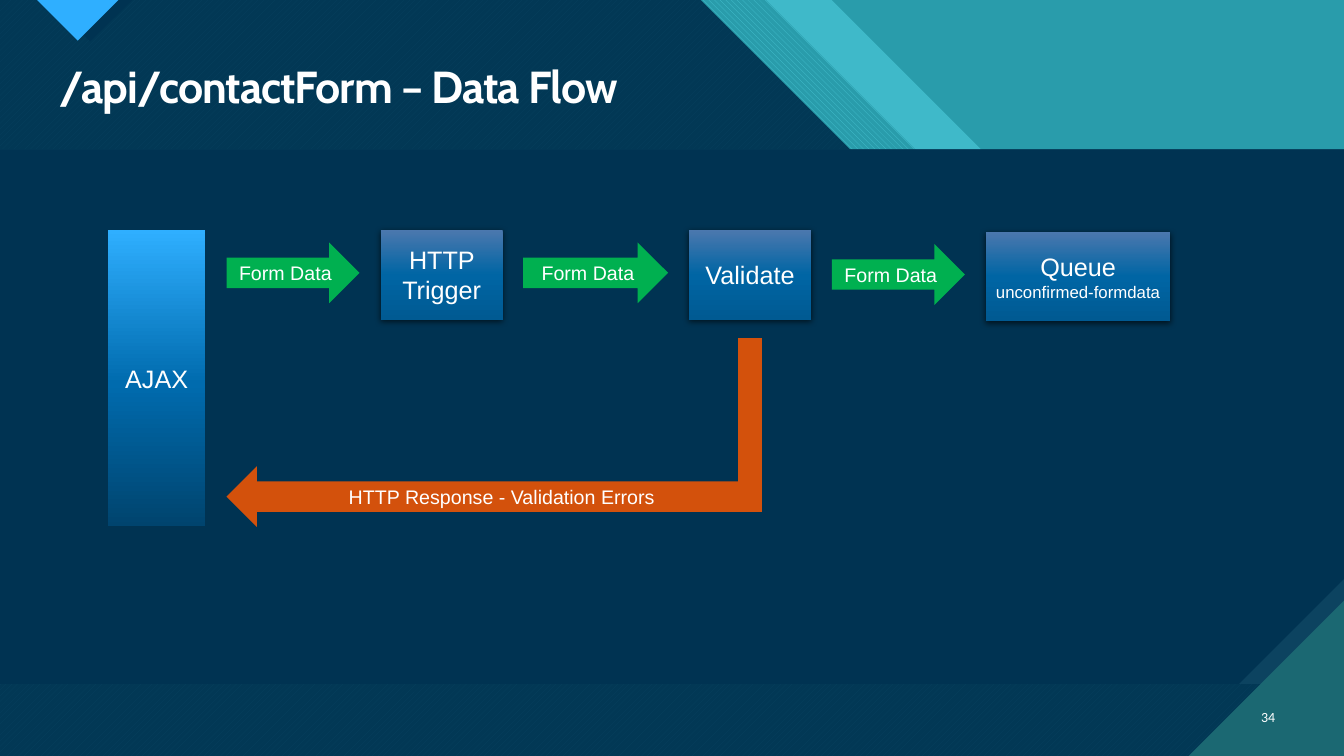
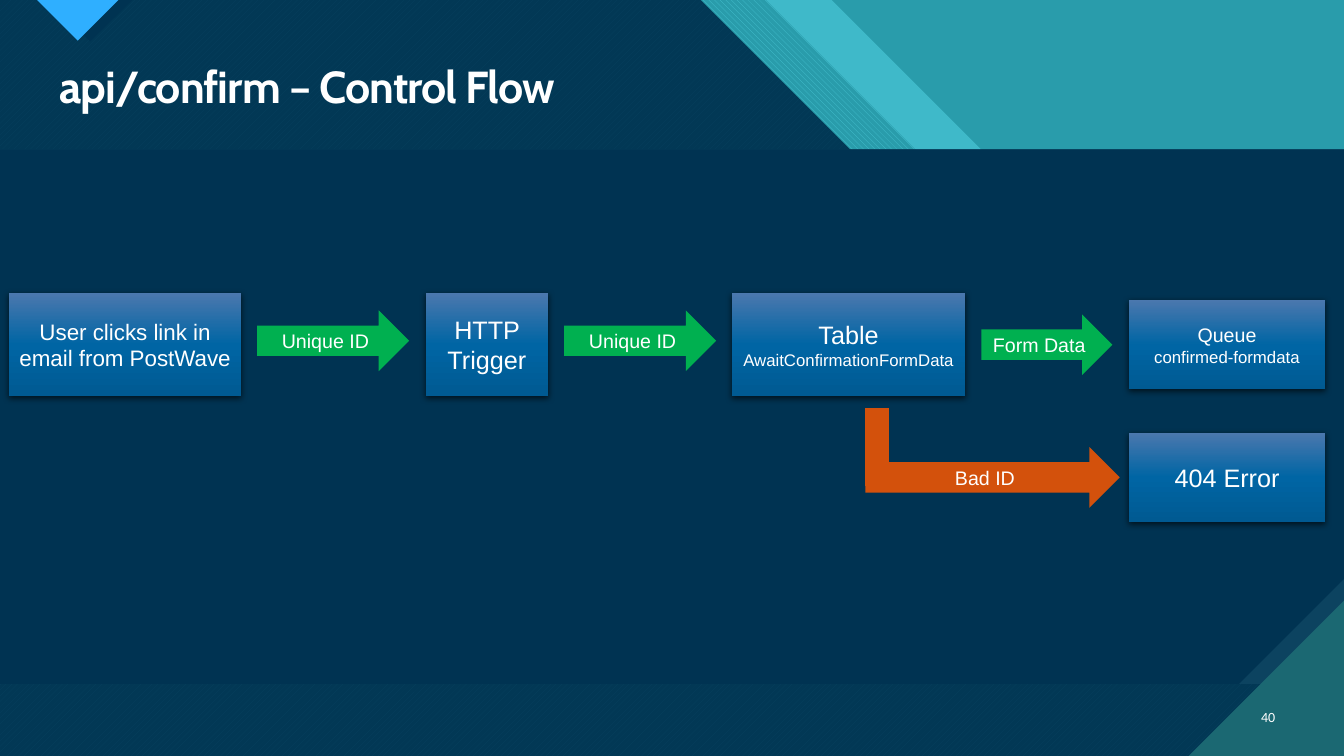
from lxml import etree
from pptx import Presentation
from pptx.dml.color import RGBColor
from pptx.enum.dml import MSO_PATTERN
from pptx.enum.shapes import MSO_SHAPE
from pptx.enum.text import MSO_ANCHOR, PP_ALIGN
from pptx.oxml.ns import qn
from pptx.util import Pt

RECT, PROCESS = MSO_SHAPE.RECTANGLE, MSO_SHAPE.FLOWCHART_PROCESS
RIGHT_ARROW, LEFT_ARROW = MSO_SHAPE.RIGHT_ARROW, MSO_SHAPE.LEFT_ARROW
DOWN_HATCH = MSO_PATTERN.WIDE_DOWNWARD_DIAGONAL
UP_HATCH = MSO_PATTERN.WIDE_UPWARD_DIAGONAL
MIDDLE, TOP = MSO_ANCHOR.MIDDLE, MSO_ANCHOR.TOP
LEFT, CENTER, RIGHT = PP_ALIGN.LEFT, PP_ALIGN.CENTER, PP_ALIGN.RIGHT

WHITE = RGBColor(0xFF, 0xFF, 0xFF)
BLACK = RGBColor(0x00, 0x00, 0x00)
NAVY = RGBColor(0x00, 0x33, 0x52)
SLATE = RGBColor(0x0C, 0x43, 0x60)
TEAL = RGBColor(0x29, 0x9C, 0xAB)
AQUA = RGBColor(0x47, 0xC3, 0xD3)
BAND = RGBColor(0x3F, 0xB9, 0xC9)
DEEP_TEAL = RGBColor(0x1B, 0x68, 0x72)
SKY = RGBColor(0x2F, 0xAF, 0xFF)
GREEN = RGBColor(0x00, 0xB0, 0x50)
ORANGE = RGBColor(0xD3, 0x51, 0x0C)
BOX_STOPS = ((0, RGBColor(0x4B, 0x78, 0xAE)), (50, RGBColor(0x00, 0x65, 0xA4)),
             (100, RGBColor(0x00, 0x5A, 0x92)))
AJAX_STOPS = ((0, SKY), (52, RGBColor(0x00, 0x6B, 0xAE)),
              (100, RGBColor(0x00, 0x44, 0x6E)))

W, H = 960, 540
PANEL_TOP, PANEL_BOTTOM, SNIP = 106.8, 488.5, 75
ARROW_H, BAR_W = 43.4, 17


def add_color(parent, color, alpha=None):
    """Append an RGB colour, with an optional opacity in percent."""
    clr = etree.SubElement(parent, qn("a:srgbClr"), val=str(color))
    if alpha is not None:
        etree.SubElement(clr, qn("a:alpha"), val=str(alpha * 1000))


def fill_solid(sp, color):
    """Give a shape a plain fill, no outline and no shadow."""
    sp.shadow.inherit = False
    sp.line.fill.background()
    sp.fill.solid()
    sp.fill.fore_color.rgb = color


def fill_hatch(sp, pattern, fore, back):
    """Replace the fill of a shape by a hatch."""
    sp.fill.patterned()
    sp.fill.pattern = pattern
    sp.fill.fore_color.rgb = fore
    sp.fill.back_color.rgb = back


def fill_gradient(sp, stops):
    """Replace the fill of a shape by a gradient from top to bottom."""
    sp.fill.gradient()
    sp.fill.gradient_angle = 270
    gs_lst = sp._element.spPr.find(qn("a:gradFill")).find(qn("a:gsLst"))
    gs_lst.clear()
    for pos, color in stops:
        add_color(etree.SubElement(gs_lst, qn("a:gs"), pos=str(pos * 1000)), color)


def add_shadow(sp):
    """Cast a soft shadow below a shape."""
    effects = sp._element.spPr.find(qn("a:effectLst"))
    shadow = etree.SubElement(
        effects, qn("a:outerShdw"), blurRad=str(Pt(4.5)), dist=str(Pt(1.5)),
        dir="5400000", algn="ctr", rotWithShape="0")
    add_color(shadow, BLACK, 63)


def set_text(sp, lines, font, align=CENTER, anchor=MIDDLE, inset=4):
    """Write (text, size) lines into a shape."""
    tf = sp.text_frame
    tf.word_wrap = True
    tf.vertical_anchor = anchor
    tf.margin_left = tf.margin_right = Pt(inset)
    for i, (text, size) in enumerate(lines):
        p = tf.add_paragraph() if i else tf.paragraphs[0]
        p.text = text
        p.alignment = align
        p.font.name = font
        p.font.size = Pt(size)
        p.font.color.rgb = WHITE
    return tf


def add_block(slide, kind, x, y, w, h, color):
    """Add a preset shape with a plain fill."""
    sp = slide.shapes.add_shape(kind, Pt(x), Pt(y), Pt(w), Pt(h))
    fill_solid(sp, color)
    return sp


def add_polygon(slide, points, color):
    """Add a closed outline with a plain fill."""
    points = [(Pt(x), Pt(y)) for x, y in points]
    builder = slide.shapes.build_freeform(*points[0], scale=1.0)
    builder.add_line_segments(points[1:], close=True)
    sp = builder.convert_to_shape()
    fill_solid(sp, color)
    return sp


def add_diagonal(slide, x, color):
    """Cover the slide left of a 45 degree edge that starts at x."""
    return add_polygon(slide, [(0, 0), (x, 0), (W, W - x), (W, H), (0, H)], color)


def add_backdrop(slide):
    """Draw the bands, the content panel and the corners."""
    add_block(slide, RECT, 0, 0, W, H, TEAL)
    add_diagonal(slide, 594, BAND)
    fill_hatch(add_diagonal(slide, 547, AQUA), DOWN_HATCH, AQUA, TEAL)
    fill_hatch(add_diagonal(slide, 500.5, AQUA), UP_HATCH, AQUA, DEEP_TEAL)
    veil = add_diagonal(slide, 500.5, NAVY)
    clr = veil._element.spPr.find(qn("a:solidFill"))[0]
    etree.SubElement(clr, qn("a:alpha"), val="90000")
    add_polygon(slide, [(34.5, 0), (64.5, 29.5), (94.5, 0)], NAVY)
    add_polygon(slide, [(26.5, 0), (55.5, 29), (84.5, 0)], SKY)
    add_block(slide, RECT, 0, PANEL_TOP, W, PANEL_BOTTOM - PANEL_TOP, SLATE)
    add_polygon(slide, [(0, PANEL_TOP), (W, PANEL_TOP), (W, PANEL_BOTTOM - SNIP),
                        (W - SNIP, PANEL_BOTTOM), (0, PANEL_BOTTOM)], NAVY)
    add_polygon(slide, [(W - 111, H), (W, H), (W, H - 111)], DEEP_TEAL)


def add_title(slide, text):
    """Write the slide title."""
    sp = slide.shapes.add_textbox(Pt(35.3), Pt(42.5), Pt(882.7), Pt(42.5))
    p = set_text(sp, [(text, 32)], "Cabin", LEFT, TOP, 7.2).paragraphs[0]
    p.font.bold = True
    p.line_spacing = 0.9
    p.runs[0]._r.get_or_add_rPr().set("spc", "-70")


def add_number(slide, number):
    """Write the slide number in the corner."""
    sp = slide.shapes.add_textbox(Pt(886.3), Pt(497.5), Pt(31.7), Pt(28.8))
    set_text(sp, [(str(number), 10)], "Calibri", RIGHT, inset=7.2)


def add_box(slide, x, y, w, h, *lines, stops=BOX_STOPS, shadow=True):
    """Add a step of the flow."""
    sp = add_block(slide, PROCESS, x, y, w, h, NAVY)
    fill_gradient(sp, stops)
    if shadow:
        add_shadow(sp)
    set_text(sp, lines, "Arial")


def add_arrow(slide, x, y, w, text, color=GREEN, kind=RIGHT_ARROW):
    """Add a labelled block arrow."""
    sp = add_block(slide, kind, x, y, w, ARROW_H, color)
    set_text(sp, [(text, 14)], "Arial")


def add_slide(prs, title, number):
    """Start a slide with the shared design."""
    slide = prs.slides.add_slide(prs.slide_layouts[6])
    add_backdrop(slide)
    add_title(slide, title)
    add_number(slide, number)
    return slide


def add_data_flow(prs):
    """Build the contact form slide."""
    slide = add_slide(prs, "/api/contactForm – Data Flow", 34)
    add_box(slide, 272, 164.3, 87, 64, ("HTTP Trigger", 18))
    add_box(slide, 492.2, 164.3, 87, 64, ("Validate", 18))
    add_box(slide, 704.2, 165.6, 131.8, 64, ("Queue", 18), ("unconfirmed-formdata", 12))
    for x, y, w in ((161.8, 173.2, 95), (373.6, 173.2, 103.6), (594.2, 174.4, 95)):
        add_arrow(slide, x, y, w, "Form Data")
    add_block(slide, PROCESS, 527.3, 241.6, BAR_W, 121, ORANGE)
    add_arrow(slide, 161.8, 333, 382.5, "HTTP Response - Validation Errors",
              ORANGE, LEFT_ARROW)
    add_box(slide, 77.2, 164.3, 69.5, 211.5, ("AJAX", 18),
            stops=AJAX_STOPS, shadow=False)


def add_control_flow(prs):
    """Build the confirmation slide."""
    slide = add_slide(prs, "api/confirm – Control Flow", 40)
    row_y, row_h = 209.3, 73.6
    add_box(slide, 6.4, row_y, 166, row_h,
            ("User clicks link in email from PostWave", 16))
    add_box(slide, 304.3, row_y, 87, row_h, ("HTTP Trigger", 18))
    add_box(slide, 523, row_y, 166.4, row_h,
            ("Table", 18), ("AwaitConfirmationFormData", 12))
    add_box(slide, 806.4, 214.2, 140.2, 64, ("Queue", 14), ("confirmed-formdata", 12))
    add_box(slide, 806.4, 309, 140.2, 64, ("404 Error", 18))
    for x in (183.6, 403):
        add_arrow(slide, x, 221.7, 108.6, "Unique ID")
    add_arrow(slide, 701, 224.5, 93.6, "Form Data")
    add_arrow(slide, 618.2, 319.3, 181.6, "Bad ID", ORANGE)
    add_block(slide, PROCESS, 618.2, 291.6, BAR_W, 55.4, ORANGE)


def main():
    """Build and save the presentation."""
    prs = Presentation()
    prs.slide_width, prs.slide_height = Pt(W), Pt(H)
    add_data_flow(prs)
    add_control_flow(prs)
    prs.save("out.pptx")


main()
